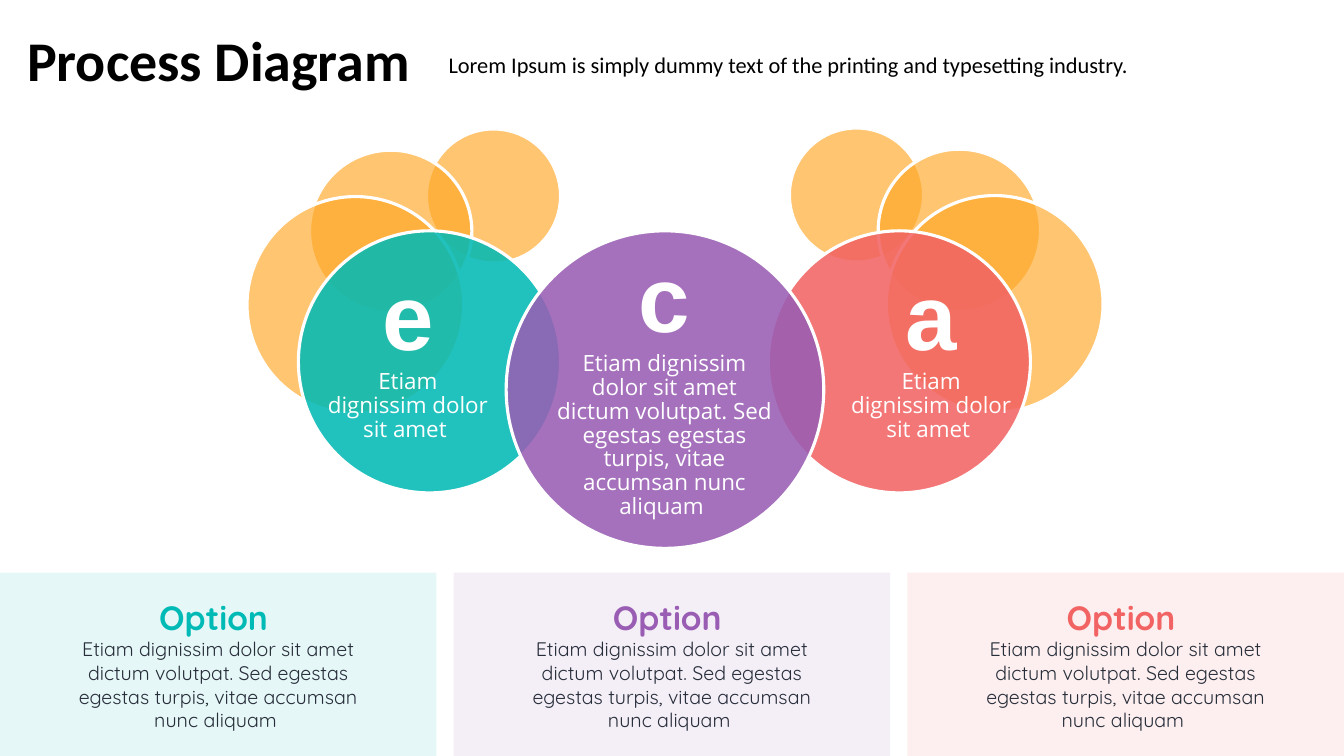
import lxml.etree
import pptx
import pptx.dml.color
import pptx.enum.shapes
import pptx.enum.text
import pptx.oxml.ns
import pptx.util

Inches = pptx.util.Inches
SHAPES = pptx.enum.shapes.MSO_SHAPE
CENTER = pptx.enum.text.PP_ALIGN.CENTER
LEFT = pptx.enum.text.PP_ALIGN.LEFT
MIDDLE = pptx.enum.text.MSO_ANCHOR.MIDDLE
TOP = pptx.enum.text.MSO_ANCHOR.TOP

WHITE, BLACK, INK, ORANGE = "FFFFFF", "000000", "272E3A", "FFA826"
TEAL, PURPLE, CORAL = "00BAB5", "995DB3", "F26363"
SHORT_TEXT = "Etiam dignissim dolor sit amet "
LONG_TEXT = SHORT_TEXT + "dictum volutpat. Sed egestas egestas turpis, vitae accumsan nunc aliquam "


def color(hex_code):
    """Turn a hex string into a colour."""
    return pptx.dml.color.RGBColor.from_string(hex_code)


def style(size, name, hex_code, bold=False):
    """Bundle the format values of a run."""
    return {"size": pptx.util.Pt(size), "name": name, "bold": bold, "color": hex_code}


def add_figure(page, kind, box, fill, opacity, outline=None):
    """Add a translucent preset shape, with an outline if one is given."""
    shape = page.shapes.add_shape(kind, *map(Inches, box))
    shape.shadow.inherit = False
    shape.fill.solid()
    shape.fill.fore_color.rgb = color(fill)
    tint = shape.fill._xPr.find(".//" + pptx.oxml.ns.qn("a:srgbClr"))
    alpha = lxml.etree.SubElement(tint, pptx.oxml.ns.qn("a:alpha"))
    alpha.set("val", str(opacity * 1000))
    if outline:
        shape.line.color.rgb = color(outline)
        shape.line.width = pptx.util.Pt(2.25)
    else:
        shape.line.fill.background()


def add_text(page, box, lines, align=CENTER, anchor=MIDDLE, wrap=True, spacing=None):
    """Add a text box with one paragraph for each (text, style) pair."""
    frame = page.shapes.add_textbox(*map(Inches, box)).text_frame
    frame.word_wrap = wrap
    frame.vertical_anchor = anchor
    frame.auto_size = pptx.enum.text.MSO_AUTO_SIZE.SHAPE_TO_FIT_TEXT
    for index, (text, values) in enumerate(lines):
        para = frame.add_paragraph() if index else frame.paragraphs[0]
        para.alignment = align
        if spacing:
            para.line_spacing = spacing
        span = para.add_run()
        span.text = text
        for key, value in values.items():
            if key == "color":
                span.font.color.rgb = color(value)
            else:
                setattr(span.font, key, value)


def add_header(page, left, top):
    """Place the title and the sentence beside it."""
    title = [("Process Diagram", style(40, "Calibri", BLACK, True))]
    add_text(page, (left, top, 4.04, 0.77), title, LEFT, TOP, False)
    sentence = "Lorem Ipsum is simply dummy text of the printing and typesetting industry."
    add_text(page, (left + 4.05, top + 0.26, 7.2, 0.37),
             [(sentence, style(16, "Calibri", BLACK))], CENTER, TOP, False)


def add_cluster(page, left, top, mirrored=False):
    """Place three overlapping orange circles in a box 3.11 inches wide."""
    width = 3.11
    for x, y, size in ((0, 0, 1.33), (0.88, 0.21, 1.61), (0.96, 0.67, 2.15)):
        offset = width - x - size if mirrored else x
        add_figure(page, SHAPES.OVAL, (left + offset, top + y, size, size), ORANGE, 66, WHITE)


def add_step(page, left, top, size, fill, letter, text, text_box):
    """Place a step circle and its text box, given relative to the circle."""
    add_figure(page, SHAPES.OVAL, (left, top, size, size), fill, 87, WHITE)
    x, y, width, height = text_box
    lines = [(letter, style(66, "Arial", WHITE, True)),
             (text, style(16, "Open Sans", WHITE))]
    add_text(page, (left + x, top + y, width, height), lines, spacing=0.89)


def add_option(page, left, top, width, height, accent):
    """Place a tinted panel with a heading and text centred in it."""
    add_figure(page, SHAPES.RECTANGLE, (left, top, width, height), accent, 10)
    text_width, text_height = 3.2, 1.45
    lines = [("Option ", style(24, "Quicksand", accent, True)),
             (LONG_TEXT, style(14, "Quicksand", INK))]
    add_text(page, (left + (width - text_width) / 2, top + (height - text_height) / 2,
                    text_width, text_height), lines)


def main():
    """Build the slide and save it."""
    deck = pptx.Presentation()
    deck.slide_width, deck.slide_height = Inches(13.33), Inches(7.5)
    page = deck.slides.add_slide(deck.slide_layouts[6])
    for index, accent in enumerate((TEAL, PURPLE, CORAL)):
        add_option(page, index * 4.5, 5.68, 4.33, 1.82, accent)
    add_header(page, 0.17, 0.2)
    add_cluster(page, 2.45, 1.28, mirrored=True)
    add_cluster(page, 7.83, 1.27)
    add_step(page, 2.96, 2.29, 2.6, TEAL, "e", SHORT_TEXT, (0.18, 0.47, 1.81, 1.57))
    add_step(page, 7.62, 2.29, 2.6, CORAL, "a", SHORT_TEXT, (0.71, 0.47, 1.81, 1.57))
    add_step(page, 5.02, 2.29, 3.15, PURPLE, "c", LONG_TEXT, (0.37, 0.28, 2.4, 2.53))
    deck.save("out.pptx")


if __name__ == "__main__":
    main()
